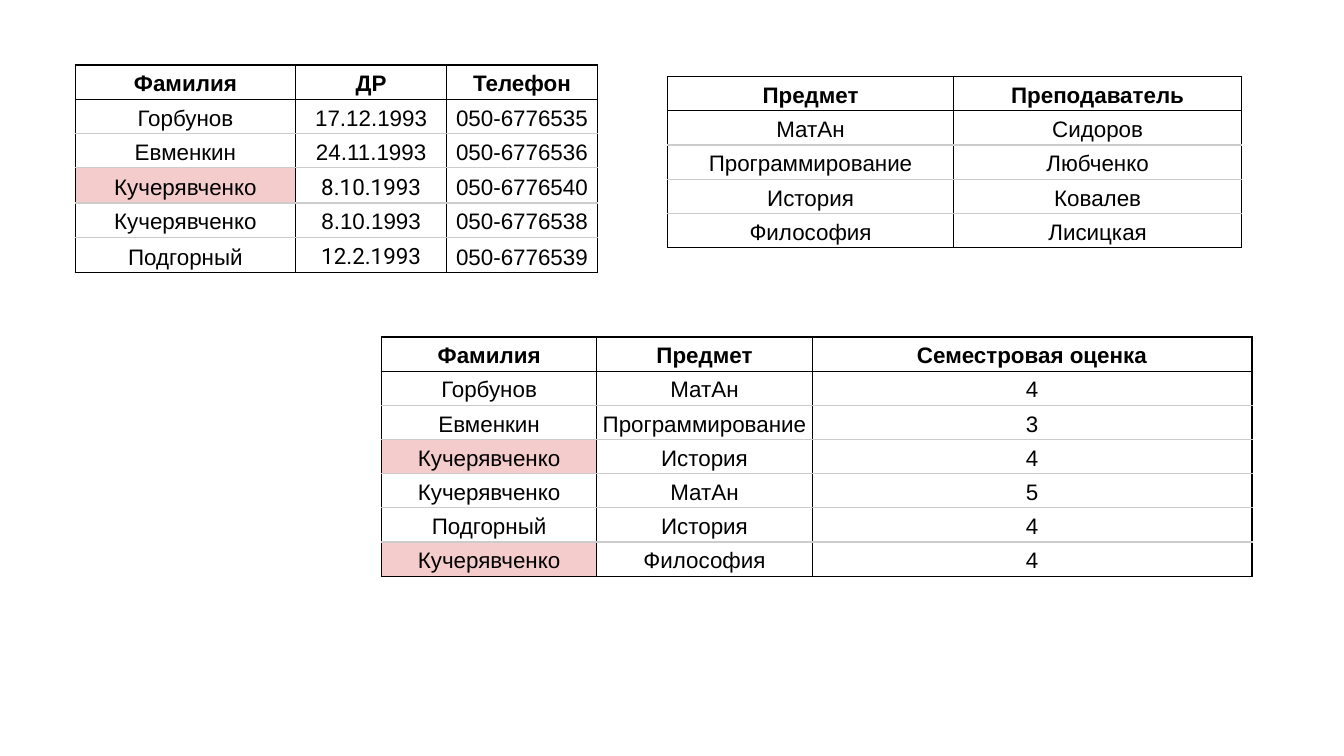
from pptx import Presentation
from pptx.dml.color import RGBColor
from pptx.enum.text import MSO_ANCHOR, PP_ALIGN
from pptx.oxml import parse_xml
from pptx.oxml.ns import nsdecls
from pptx.util import Cm, Pt

COLORS = {"black": "000000", "grey": "CCCCCC", "pink": "F4CCCC", "white": "FFFFFF"}
ROW = 0.56

# Each table: left, top, column widths, pink rows, rows with a Roboto date, text
TABLES = [
    (1.42, 1.23, [4.17, 2.85, 2.85], [3], [3, 5], [
        ["Фамилия", "ДР", "Телефон"],
        ["Горбунов", "17.12.1993", "050-6776535"],
        ["Евменкин", "24.11.1993", "050-6776536"],
        ["Кучерявченко", "8.10.1993", "050-6776540"],
        ["Кучерявченко", "8.10.1993", "050-6776538"],
        ["Подгорный", "12.2.1993", "050-6776539"],
    ]),
    (12.62, 1.45, [5.4, 5.45], [], [], [
        ["Предмет", "Преподаватель"],
        ["МатАн", "Сидоров"],
        ["Программирование", "Любченко"],
        ["История", "Ковалев"],
        ["Философия", "Лисицкая"],
    ]),
    (7.21, 6.37, [4.07, 4.07, 8.31], [3, 6], [], [
        ["Фамилия", "Предмет", "Семестровая оценка"],
        ["Горбунов", "МатАн", "4"],
        ["Евменкин", "Программирование", "3"],
        ["Кучерявченко", "История", "4"],
        ["Кучерявченко", "МатАн", "5"],
        ["Подгорный", "История", "4"],
        ["Кучерявченко", "Философия", "4"],
    ]),
]


def border(cell, side, color):
    cell._tc.get_or_add_tcPr().append(parse_xml(
        f'<a:ln{side} {nsdecls("a")} w="{Pt(0.75)}"><a:solidFill>'
        f'<a:srgbClr val="{COLORS[color]}"/></a:solidFill></a:ln{side}>'))


def paint(cell, color):
    cell.fill.solid()
    cell.fill.fore_color.rgb = RGBColor.from_string(COLORS[color])


deck = Presentation()
deck.slide_width, deck.slide_height = Cm(25.4), Cm(14.29)
slide = deck.slides.add_slide(deck.slide_layouts[6])

for left, top, widths, pink, dates, rows in TABLES:
    last = len(rows) - 1
    grid = slide.shapes.add_table(
        len(rows), len(widths), Cm(left), Cm(top),
        Cm(sum(widths)), Cm(ROW * len(rows))).table
    grid.first_row = grid.horz_banding = False
    for col, width in zip(grid.columns, widths):
        col.width = Cm(width)

    for r, words in enumerate(rows):
        grid.rows[r].height = Cm(ROW)
        for c, word in enumerate(words):
            cell = grid.cell(r, c)
            date = c == 1 and r in dates

            # Black frame and header, grey lines between the data rows
            border(cell, "L", "black")
            border(cell, "R", "black")
            border(cell, "T", "black" if r < 2 else "grey")
            border(cell, "B", "black" if r in (0, last) else "grey")

            # Fill
            if c == 0 and r in pink:
                paint(cell, "pink")
            elif date:
                paint(cell, "white")
            else:
                cell.fill.background()

            # Text
            cell.margin_left = cell.margin_right = Cm(0.08)
            cell.margin_top = cell.margin_bottom = Cm(0.05)
            cell.vertical_anchor = MSO_ANCHOR.BOTTOM
            cell.text_frame.text = word
            para = cell.text_frame.paragraphs[0]
            para.alignment = PP_ALIGN.CENTER
            para.line_spacing = 1.15
            font = para.runs[0].font
            font.name = "Roboto" if date else "Arial"
            font.size = Pt(12)
            font.bold = r == 0
            font.color.rgb = RGBColor.from_string(COLORS["black"])

deck.save("out.pptx")
